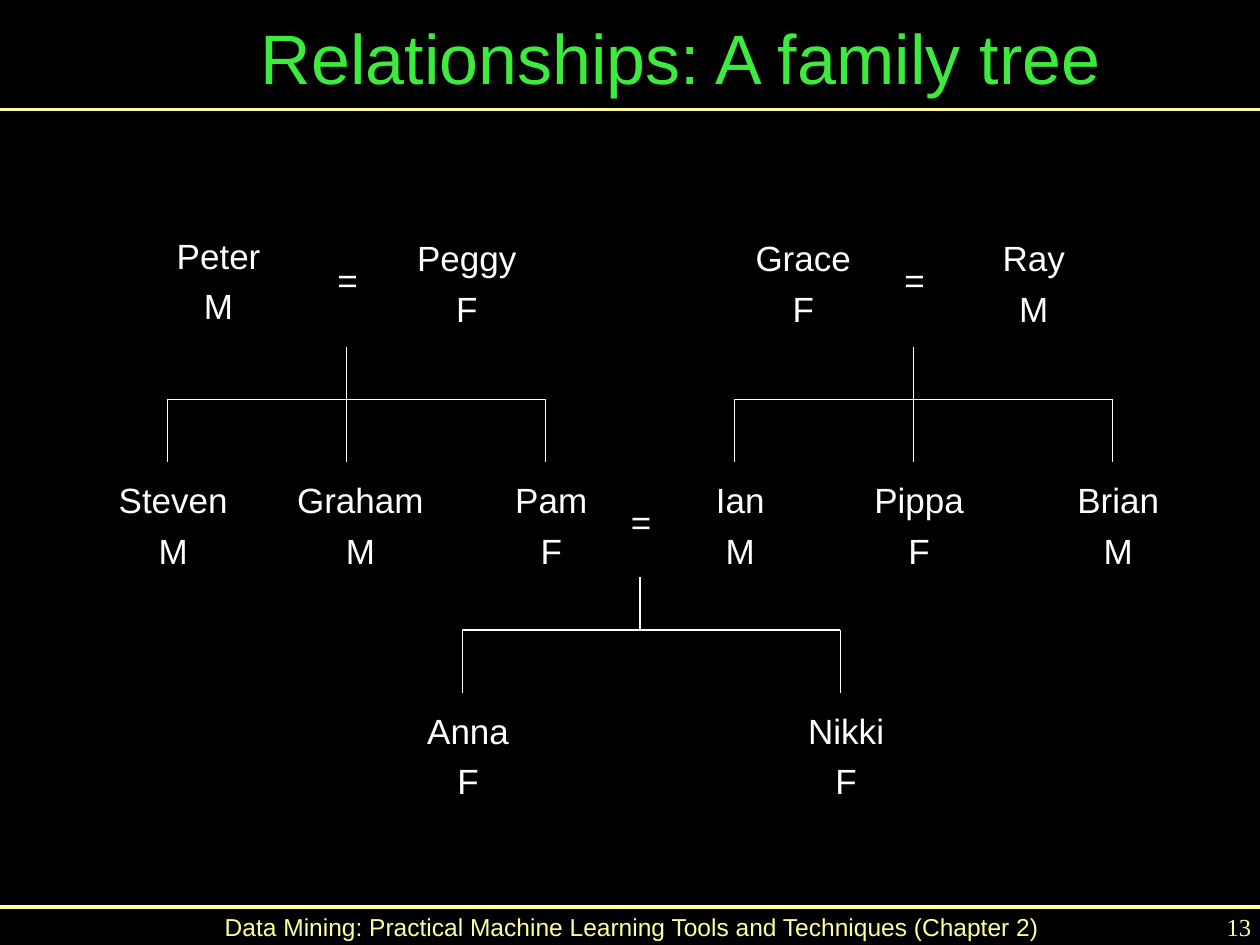
from dataclasses import dataclass

from lxml.etree import SubElement
from pptx import Presentation
from pptx.dml.color import RGBColor as RGB
from pptx.enum.shapes import MSO_CONNECTOR as CONN
from pptx.enum.text import MSO_ANCHOR as ANCHOR, MSO_AUTO_SIZE as AUTO, PP_ALIGN as ALIGN
from pptx.oxml.ns import qn
from pptx.util import Inches, Pt


@dataclass(frozen=True)
class Theme:
    back: RGB = RGB.from_string("000000")
    title: RGB = RGB.from_string("3DEB3D")
    accent: RGB = RGB.from_string("FFFF99")
    ink: RGB = RGB.from_string("FFFFFF")
    font: str = "Arial"
    number_font: str = "Times New Roman"
    title_size: float = 40
    body_size: float = 20
    footer_size: float = 14
    rule_width: float = 2
    branch_width: float = 0.75


T = Theme()
PERSON_W, PERSON_H = 1.25, 0.83
PERSON_OFFSET = 0.58


def add_line(s, start, end, color=T.ink, width=T.branch_width):
    ends = [Inches(v) for v in (*start, *end)]
    line = s.shapes.add_connector(CONN.STRAIGHT, *ends)
    line.line.color.rgb = color
    line.line.width = Pt(width)
    SubElement(line._element.spPr, qn("a:effectLst"))


def format_run(r, text, size, color, font=T.font, italic=None):
    r.text = text
    r.font.size = Pt(size)
    r.font.name = font
    r.font.color.rgb = color
    r.font.italic = italic


def add_text(s, box, text, align=ALIGN.CENTER, size=T.body_size, color=T.ink,
             font=T.font, italic=None, before=5, insets=(0.1, 0.05)):
    tf = s.shapes.add_textbox(*map(Inches, box)).text_frame
    tf.word_wrap = True
    tf.margin_left = tf.margin_right = Inches(insets[0])
    tf.margin_top = tf.margin_bottom = Inches(insets[1])
    for i, line in enumerate(text.split("\n")):
        p = tf.add_paragraph() if i else tf.paragraphs[0]
        p.alignment = align
        p.space_before = Pt(before)
        format_run(p.add_run(), line, size, color, font, italic)


def add_person(s, left, top, name, sex, width=PERSON_W):
    add_text(s, (left, top, width, PERSON_H), f"{name}\n{sex}")


def add_title(s, box, text):
    title = s.shapes.title
    title.left, title.top, title.width, title.height = map(Inches, box)
    tf = title.text_frame
    tf.vertical_anchor = ANCHOR.MIDDLE
    tf.auto_size = AUTO.SHAPE_TO_FIT_TEXT
    p = tf.paragraphs[0]
    p.alignment = ALIGN.LEFT
    format_run(p.add_run(), text, T.title_size, T.title)


def add_footer(s, box, text, number):
    left, top, width, height = box
    style = dict(size=T.footer_size, color=T.accent, before=0, insets=(0, 0))
    add_text(s, (left + 1.57, top, 6.89, height), text, **style)
    add_text(s, (left + width - 1.23, top, 1.23, height), number,
             align=ALIGN.RIGHT, font=T.number_font, **style)


def add_family(s, box, stem, marriage_top, children):
    left, top, width, height = box
    bar = top + 0.42
    add_text(s, (stem - 0.33, marriage_top, 0.67, 0.42), "=", italic=True)
    add_line(s, (stem, top), (stem, bar))
    add_line(s, (left, bar), (left + width, bar))
    for x, name, sex, label_width in children:
        add_line(s, (x, bar), (x, top + height))
        add_person(s, x - PERSON_OFFSET, top + 1, name, sex, label_width)


def main():
    prs = Presentation()
    prs.slide_width, prs.slide_height = Inches(10), Inches(7.5)
    s = prs.slides.add_slide(prs.slide_layouts[5])
    s.background.fill.solid()
    s.background.fill.fore_color.rgb = T.back

    for y in (0.87, 7.2):
        add_line(s, (0, y), (10.04, y), T.accent, T.rule_width)
    add_title(s, (1.97, 0.06, 8.25, 0.77), "Relationships: A family tree")
    add_footer(s, (0, 7.24, 9.93, 0.26),
               "Data Mining: Practical Machine Learning Tools and Techniques (Chapter 2)", "13")

    grandparents = [(1.11, 1.81, "Peter", "M"), (3.08, 1.83, "Peggy", "F"),
                    (5.75, 1.83, "Grace", "F"), (7.58, 1.83, "Ray", "M")]
    for person in grandparents:
        add_person(s, *person)

    add_family(s, (1.33, 2.75, 3, 0.92), 2.75, 2,
               [(1.33, "Steven", "M", PERSON_W), (2.75, "Graham", "M", 1.38),
                (4.33, "Pam", "F", PERSON_W)])
    add_family(s, (5.83, 2.75, 3, 0.92), 7.25, 2,
               [(5.83, "Ian", "M", PERSON_W), (7.25, "Pippa", "F", PERSON_W),
                (8.83, "Brian", "M", PERSON_W)])
    add_family(s, (3.67, 4.58, 3, 0.92), 5.08, 3.92,
               [(3.67, "Anna", "F", PERSON_W), (6.67, "Nikki", "F", PERSON_W)])

    prs.save("out.pptx")


if __name__ == "__main__":
    main()
